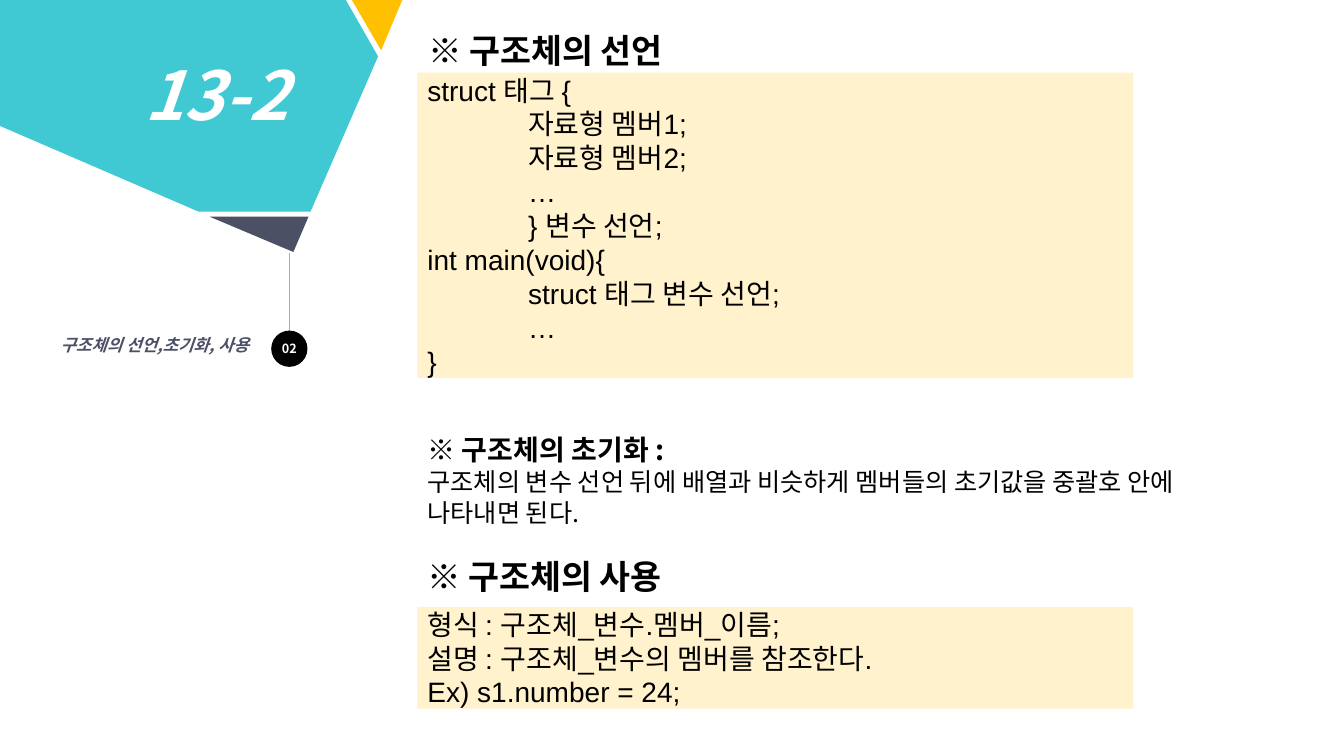
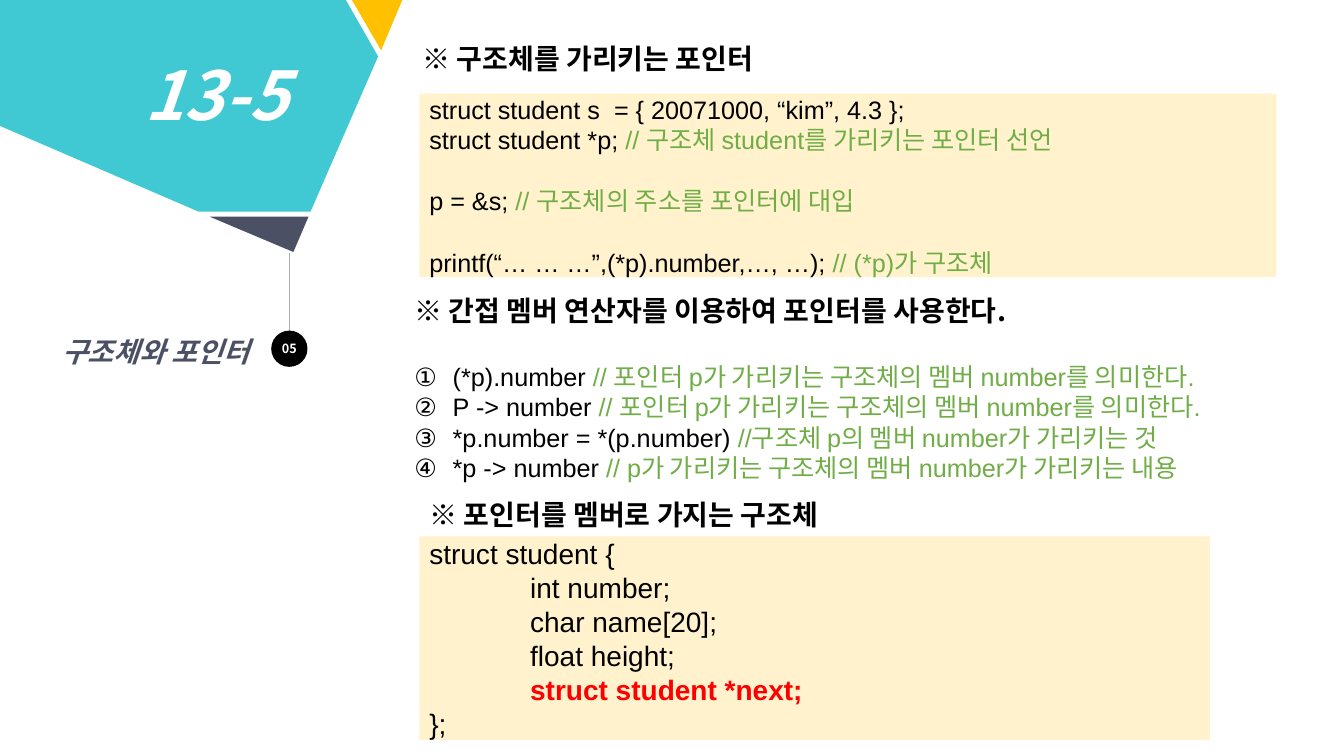
"""Build two lecture slides on C structures: declaration and pointers."""
from lxml.etree import SubElement
from pptx import Presentation
from pptx.dml.color import RGBColor
from pptx.enum.shapes import MSO_CONNECTOR, MSO_SHAPE
from pptx.enum.text import MSO_ANCHOR, MSO_AUTO_SIZE, PP_ALIGN
from pptx.oxml.ns import qn
from pptx.util import Inches, Pt

rgb = RGBColor.from_string
TEAL, AMBER, SLATE, CREAM = "41C9D3", "FFC000", "4C5064", "FFF2CC"
BLACK, WHITE, GREY, GREEN, RED = "000000", "FFFFFF", "AFABAB", "70AD47", "FF0000"
CODE_FONT, KOREAN_FONT = "Arial", "Noto Sans CJK KR"
LINE_HEIGHT = 1.21

BANNER = [
    (AMBER, [(3.49, 0), (4.01, 0), (3.99, 0), (3.78, 0.5)]),
    (TEAL, [(0, 0), (3.43, 0), (3.75, 0.56), (3.08, 2.1), (1.97, 2.1), (0, 1.25)]),
    (SLATE, [(2.08, 2.15), (3.06, 2.15), (2.91, 2.5)]),
]

LESSONS = [
    {
        "title": "13-2", "number": "02",
        "topic": "구조체의 선언,초기화, 사용", "topic_size": 12, "topic_height": 0.3,
        "headings": [
            ((4.15, 0.24, 2.73, 0.81), 24, "※ 구조체의 선언"),
            ((4.14, 5.46, 2.73, 0.81), 24, "※ 구조체의 사용"),
        ],
        "code": [
            ((4.14, 0.72, 7.1, 3.03), 20, [
                "struct 태그 {", "\t자료형 멤버1;", "\t자료형 멤버2;", "\t…",
                "\t} 변수 선언;", "int main(void){", "\tstruct 태그 변수 선언;", "\t…", "}"]),
            ((4.14, 6.02, 7.1, 1.01), 20, [
                "형식 : 구조체_변수.멤버_이름;",
                "설명 : 구조체_변수의 멤버를 참조한다.",
                "Ex) s1.number = 24;"]),
        ],
        "body_at": (4.14, 4.24, 8.67, 1.04), "body_font": KOREAN_FONT, "numbered": False,
        "body": [
            "※ 구조체의 초기화 :",
            "구조체의 변수 선언 뒤에 배열과 비슷하게 멤버들의 초기값을 중괄호 안에 ",
            "나타내면 된다."],
    },
    {
        "title": "13-5", "number": "05",
        "topic": "구조체와 포인터", "topic_size": 20, "topic_height": 0.44,
        "headings": [
            ((4.09, 0.36, 3.91, 0.44), 20, "※ 구조체를 가리키는 포인터"),
            ((4.16, 4.88, 4.47, 0.44), 20, "※ 포인터를 멤버로 가지는 구조체"),
        ],
        "code": [
            ((4.16, 0.93, 8.5, 1.82), 18, [
                "struct student s  = { 20071000, “kim”, 4.3 };",
                "struct student *p; // 구조체 student를 가리키는 포인터 선언",
                "p = &s; // 구조체의 주소를 포인터에 대입",
                "printf(“… … …”,(*p).number,…, …); // (*p)가 구조체"]),
            ((4.16, 5.32, 7.84, 2.02), 20, [
                "struct student {", "\tint number;", "\tchar name[20];",
                "\tfloat height;", "\tstruct student *next;", "};"]),
        ],
        "body_at": (4.01, 2.86, 9.04, 2.29), "body_font": CODE_FONT, "numbered": True,
        "body": [
            "※ 간접 멤버 연산자를 이용하여 포인터를 사용한다.",
            "(*p).number // 포인터 p가 가리키는 구조체의 멤버 number를 의미한다.",
            "P -> number // 포인터 p가 가리키는 구조체의 멤버 number를 의미한다.",
            "*p.number = *(p.number) //구조체 p의 멤버 number가 가리키는 것",
            "*p -> number // p가 가리키는 구조체의 멤버 number가 가리키는 내용"],
    },
]


def paint(shape, colour):
    shape.fill.solid()
    shape.fill.fore_color.rgb = rgb(colour)
    shape.line.fill.background()
    shape.shadow.inherit = False


def write(shape, lines, size, font=KOREAN_FONT, colour=BLACK, bold=False,
          italic=False, align=PP_ALIGN.LEFT):
    frame = shape.text_frame
    frame.word_wrap = True
    frame.auto_size = MSO_AUTO_SIZE.NONE
    frame.text = "\n".join(line.strip("\t") for line in lines)
    for paragraph, line in zip(frame.paragraphs, lines):
        code, slashes, remark = line.strip("\t").partition("//")
        paragraph.text = code
        if slashes:
            paragraph.add_run().text = slashes + remark
        paragraph.alignment = align
        paragraph.line_spacing = Pt(round(size * LINE_HEIGHT, 1))
        paragraph.space_before = Pt(0)
        properties = paragraph._p.get_or_add_pPr()
        properties.set("marL", str(Inches(1) if line.startswith("\t") else 0))
        properties.set("indent", "0")
        for run, run_colour in zip(paragraph.runs, (colour, GREEN)):
            run.font.size = Pt(size)
            run.font.name = font
            run.font.bold = bold
            run.font.italic = italic
            run.font.color.rgb = rgb(run_colour)
            SubElement(run.font._element, qn("a:ea")).set("typeface", KOREAN_FONT)


deck = Presentation()
deck.slide_width, deck.slide_height = Inches(13.33), Inches(7.5)

for lesson in LESSONS:
    slide = deck.slides.add_slide(deck.slide_layouts[1])
    shapes = slide.shapes
    title, body = shapes.title, slide.placeholders[1]

    code_boxes = []
    for at, size, lines in lesson["code"]:
        code_box = shapes.add_shape(MSO_SHAPE.RECTANGLE, *map(Inches, at))
        paint(code_box, CREAM)
        write(code_box, lines, size, CODE_FONT)
        code_box.text_frame.margin_top = code_box.text_frame.margin_bottom = 0
        code_box.text_frame.vertical_anchor = MSO_ANCHOR.MIDDLE
        code_boxes.append(code_box)

    stem = shapes.add_connector(
        MSO_CONNECTOR.STRAIGHT, Inches(2.87), Inches(2.51), Inches(2.87), Inches(3.64))
    stem.line.color.rgb = rgb(GREY)
    stem.line.width = Pt(0.5)
    SubElement(stem._element.spPr, qn("a:effectLst"))

    for colour, corners in BANNER:
        start, *rest = [(Inches(x), Inches(y)) for x, y in corners]
        outline = shapes.build_freeform(*start)
        outline.add_line_segments(rest, close=True)
        paint(outline.convert_to_shape(), colour)

    badge = shapes.add_shape(
        MSO_SHAPE.OVAL, Inches(2.69), Inches(3.28), Inches(0.36), Inches(0.36))
    paint(badge, BLACK)
    write(badge, [lesson["number"]], 9, colour=WHITE, bold=True, align=PP_ALIGN.CENTER)
    badge_frame = badge.text_frame
    badge_frame.margin_left = badge_frame.margin_right = 0
    badge_frame.margin_top = badge_frame.margin_bottom = 0
    badge_frame.vertical_anchor = MSO_ANCHOR.MIDDLE

    topic = shapes.add_textbox(
        Inches(0.16), Inches(3.27), Inches(2.41), Inches(lesson["topic_height"]))
    write(topic, [lesson["topic"]], lesson["topic_size"], colour=SLATE, bold=True,
          italic=True, align=PP_ALIGN.RIGHT)

    for at, size, words in lesson["headings"]:
        heading = shapes.add_textbox(*map(Inches, at))
        write(heading, [words], size, bold=True)

    write(title, [lesson["title"]], 48, colour=WHITE, bold=True, italic=True)
    title.text_frame.word_wrap = False
    write(body, lesson["body"], 18, lesson["body_font"])
    for holder, at in ((title, (1.33, 0.47, 1.65, 0.91)), (body, lesson["body_at"])):
        holder.left, holder.top, holder.width, holder.height = map(Inches, at)
        holder.text_frame.vertical_anchor = MSO_ANCHOR.TOP
        shapes.element.append(holder.element)

    lead, *items = body.text_frame.paragraphs
    lead.line_spacing = Pt(24.2)
    lead.runs[0].font.size = Pt(20)
    lead.runs[0].font.bold = True
    lead.runs[0].font.name = KOREAN_FONT
    SubElement(lead._p.pPr, qn("a:buNone"))
    for item in items:
        if lesson["numbered"]:
            item._p.pPr.set("marL", str(Inches(0.38)))
            item._p.pPr.set("indent", str(-Inches(0.38)))
            SubElement(item._p.pPr, qn("a:buAutoNum")).set("type", "circleNumDbPlain")
        else:
            SubElement(item._p.pPr, qn("a:buNone"))

    if lesson["numbered"]:
        items[0].space_before = Pt(24)
        pointer_code, member_code = code_boxes
        for statement in pointer_code.text_frame.paragraphs[2:]:
            statement.space_before = Pt(21.8)
        next_member = member_code.text_frame.paragraphs[4].runs[0]
        next_member.font.bold = True
        next_member.font.color.rgb = rgb(RED)

deck.save("out.pptx")
